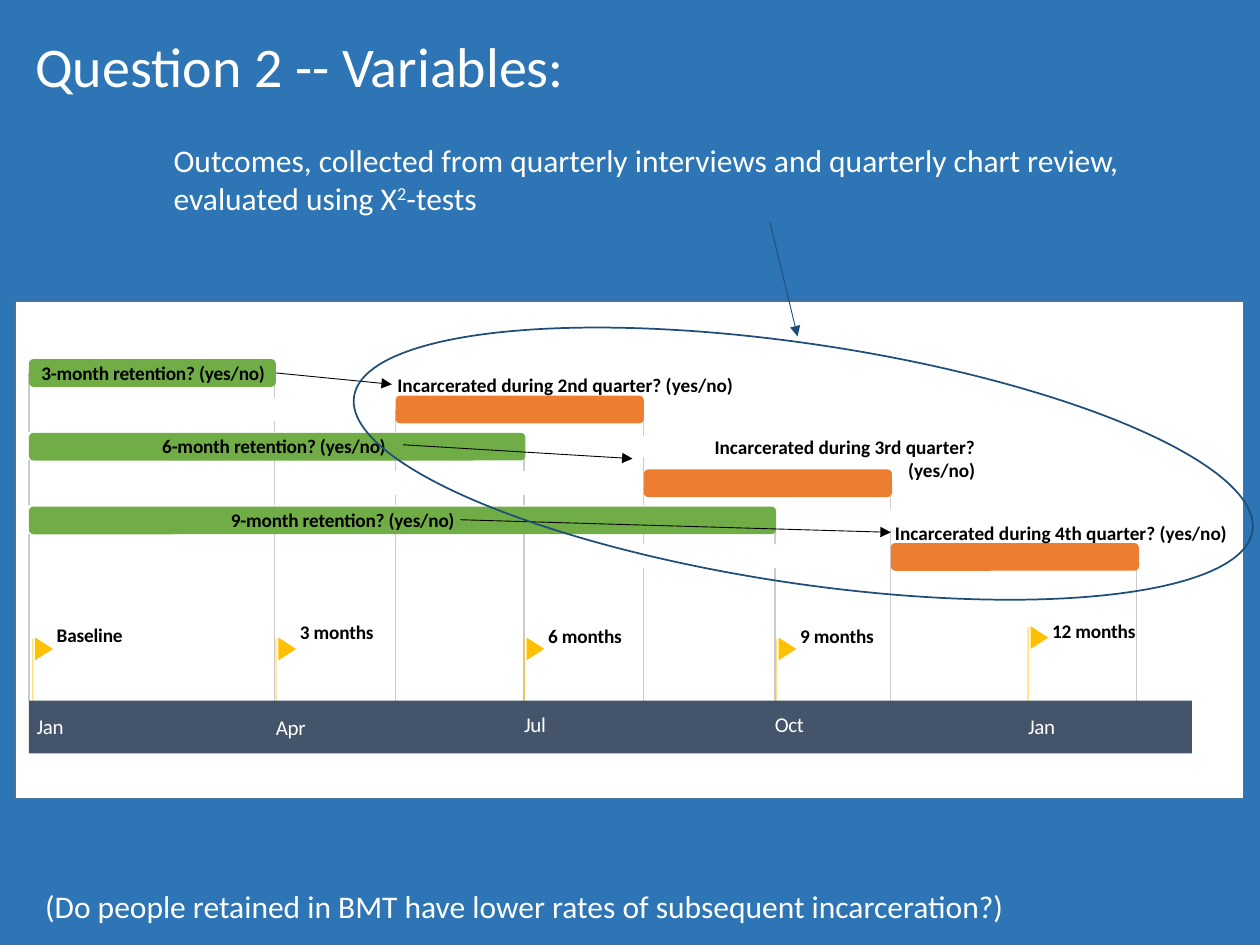
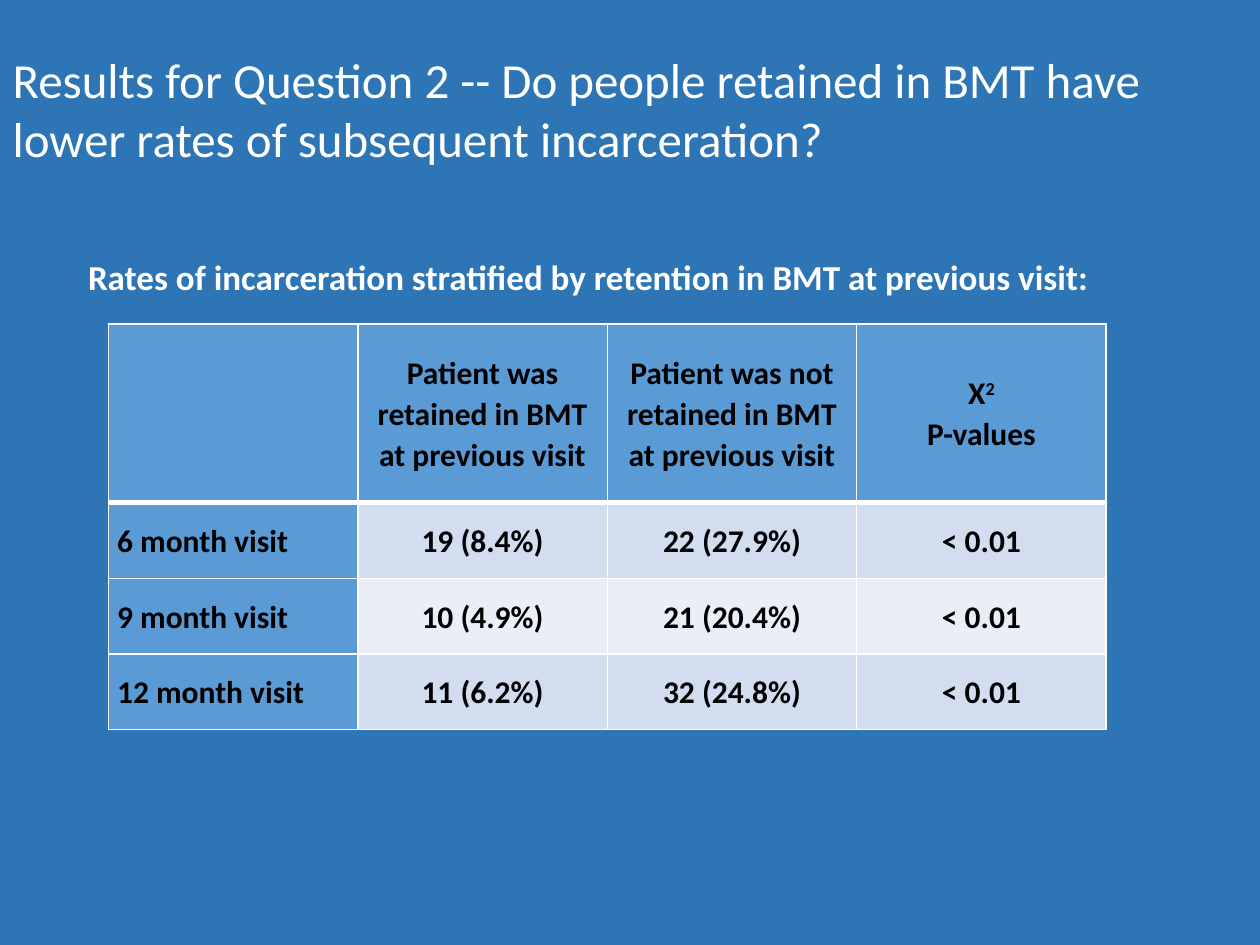
from lxml import etree
from pptx import Presentation
from pptx.dml.color import RGBColor
from pptx.enum.shapes import MSO_CONNECTOR, MSO_SHAPE
from pptx.enum.text import MSO_ANCHOR, MSO_AUTO_SIZE, PP_ALIGN
from pptx.oxml import parse_xml
from pptx.oxml.ns import nsdecls, qn
from pptx.util import Inches, Pt

LEFT, CENTER, RIGHT = PP_ALIGN.LEFT, PP_ALIGN.CENTER, PP_ALIGN.RIGHT
TOP, MIDDLE = MSO_ANCHOR.TOP, MSO_ANCHOR.MIDDLE
STRAIGHT = MSO_CONNECTOR.STRAIGHT
LEFT_SITE, RIGHT_SITE = 1, 3

FONT = "Calibri"
BLUE, NAVY, SLATE = "2E75B6", "1F4E79", "44546A"
WHITE, BLACK, GRAY = "FFFFFF", "000000", "CCCCCC"
GREEN, ORANGE, GOLD = "70AD47", "ED7D31", "FFC000"
HEADER_BLUE, BAND_DARK, BAND_LIGHT = "5B9BD5", "D2DEEF", "EAEFF7"

# Text between carets is superscript.
VARIABLES_TITLE = "Question 2 -- Variables:"
OUTCOMES_NOTE = ("Outcomes, collected from quarterly interviews and quarterly "
                 "chart review, evaluated using Χ^2^-tests")
QUESTION = "(Do people retained in BMT have lower rates of subsequent incarceration?)"

BAND_TOP = 5.56
TIMELINE_LEFT = 0.23
BAR_HEIGHT, LABEL_HEIGHT = 0.22, 0.19
RETENTION_TOP, OUTCOME_TOP, ROW_PITCH = 2.85, 3.14, 0.585

# x: (top, bottom) of each visible piece
GRIDLINES = {
    0.23: [(2.96, 3.43), (3.65, 4.01), (4.24, BAND_TOP)],
    2.18: [(2.96, 3.16), (3.34, 3.43), (3.64, 4.01), (4.24, BAND_TOP)],
    3.14: [(3.25, 3.43), (3.65, 3.74), (3.93, 4.01), (4.22, BAND_TOP)],
    4.16: [(3.54, 3.74), (3.93, 4.01), (4.24, BAND_TOP)],
    5.11: [(3.25, 3.46), (3.63, 4.01), (4.24, 4.32), (4.51, BAND_TOP)],
    6.15: [(4.13, 4.32), (4.51, BAND_TOP)],
    7.07: [(3.83, 4.04), (4.21, BAND_TOP)],
    9.02: [(4.42, BAND_TOP)],
}
# milestone, flag left, flag top, label top, month, month left, month top
MILESTONES = [
    ("Baseline", 0.26, 5.08, 4.94, "Jan", 0.29, 5.66),
    ("3 months", 2.19, 5.08, 4.92, "Apr", 2.19, 5.67),
    ("6 months", 4.16, 5.08, 4.95, "Jul", 4.16, 5.65),
    ("9 months", 6.16, 5.08, 4.95, "Oct", 6.15, 5.65),
    ("12 months", 8.16, 4.99, 4.91, "Jan", 8.16, 5.66),
]
# label, bar width, label left, label width
RETENTIONS = [
    ("3-month retention? (yes/no)", 1.96, 0.29, 1.85),
    ("6-month retention? (yes/no)", 3.94, 1.26, 1.83),
    ("9-month retention? (yes/no)", 5.93, 1.79, 1.86),
]
# label, bar left, label width
OUTCOMES = [
    ("Incarcerated during 2nd quarter? (yes/no)", 3.14, 2.68),
    ("Incarcerated during 3rd quarter? (yes/no)", 5.11, 2.63),
    ("Incarcerated during 4th quarter? (yes/no)", 7.07, 2.67),
]
RETENTION_ARROWS = [(2.19, 2.96, 3.11, 3.05), (3.2, 3.53, 5.02, 3.64),
                    (3.66, 4.12, 7.07, 4.24)]

RESULTS_TITLE = ("Results for Question 2 -- Do people retained in BMT have "
                 "lower rates of subsequent incarceration?")
TABLE_HEADING = ("Rates of incarceration stratified by retention in BMT "
                 "at previous visit:")
RATES = [
    ["", "Patient was retained in BMT at previous visit",
     "Patient was not retained in BMT at previous visit", "Χ^2^\nP-values"],
    ["6 month visit", "19 (8.4%)", "22 (27.9%)", "< 0.01"],
    ["9 month visit", "10 (4.9%)", "21 (20.4%)", "< 0.01"],
    ["12 month visit", "11 (6.2%)", "32 (24.8%)", "< 0.01"],
]
ROW_HEIGHTS = [1.42, 0.6, 0.6, 0.6]
COLUMN_WIDTH = 1.98


def rgb(value):
    return RGBColor.from_string(value)


def write(frame, text, size, color, bold=False, align=LEFT, spacing=0,
          line_spacing=None):
    """Fill a text frame; spacing is between letters, in hundredths of a point."""
    for index, line in enumerate(text.split("\n")):
        paragraph = frame.paragraphs[0] if index == 0 else frame.add_paragraph()
        paragraph.alignment = align
        if line_spacing:
            paragraph.line_spacing = line_spacing
        font = paragraph.font
        font.name, font.size, font.bold = FONT, Pt(size), bold
        font.color.rgb = rgb(color)
        for part, piece in enumerate(line.split("^")):
            if not piece:
                continue
            run = paragraph.add_run()
            run.text = piece
            properties = run._r.get_or_add_rPr()
            if part % 2:
                properties.set("baseline", "30000")
            if spacing:
                properties.set("spc", str(spacing))


def add_text(slide, box, text, size, color=WHITE, **style):
    shape = slide.shapes.add_textbox(*map(Inches, box))
    shape.text_frame.word_wrap = True
    write(shape.text_frame, text, size, color, **style)
    return shape


def add_label(slide, box, text, size=11, color=BLACK, wrap=True, **style):
    """Add a small text box without margins, centred vertically."""
    shape = add_text(slide, box, text, size, color, **style)
    frame = shape.text_frame
    frame.margin_left = frame.margin_right = 0
    frame.margin_top = frame.margin_bottom = 0
    frame.vertical_anchor = MIDDLE
    frame.word_wrap = wrap
    return shape


def add_block(slide, kind, box, fill=None, line=None, rotation=0):
    shape = slide.shapes.add_shape(kind, *map(Inches, box))
    shape.shadow.inherit = False
    shape.rotation = rotation
    if fill:
        shape.fill.solid()
        shape.fill.fore_color.rgb = rgb(fill)
    else:
        shape.fill.background()
    if line:
        shape.line.color.rgb = rgb(line)
        shape.line.width = Pt(1)
    else:
        shape.line.fill.background()
    return shape


def add_line(slide, points, color, width=0.75, arrow=False, opacity=None):
    connector = slide.shapes.add_connector(STRAIGHT, *map(Inches, points))
    connector.line.color.rgb = rgb(color)
    connector.line.width = Pt(width)
    properties = connector._element.spPr
    outline = properties.find(qn("a:ln"))
    if opacity:
        color_element = outline.find(".//" + qn("a:srgbClr"))
        etree.SubElement(color_element, qn("a:alpha")).set("val", str(opacity * 1000))
    if arrow:
        etree.SubElement(outline, qn("a:tailEnd")).set("type", "triangle")
    etree.SubElement(properties, qn("a:effectLst"))
    return connector


def add_titled_slide(presentation, title, box, size):
    slide = presentation.slides.add_slide(presentation.slide_layouts[5])
    shape = slide.shapes.title
    shape.left, shape.top, shape.width, shape.height = map(Inches, box)
    frame = shape.text_frame
    frame.word_wrap = True
    frame.auto_size = MSO_AUTO_SIZE.NONE
    frame.vertical_anchor = TOP
    write(frame, title, size, WHITE)
    return slide


def add_milestones(slide):
    for _, x, flag_top, *_ in MILESTONES:
        add_line(slide, (x, flag_top - 0.01, x, BAND_TOP), GOLD, opacity=50)
    add_block(slide, MSO_SHAPE.RECTANGLE, (TIMELINE_LEFT, BAND_TOP, 9.23, 0.42), SLATE)
    for label, x, flag_top, label_top, month, month_left, month_top in MILESTONES:
        add_label(slide, (month_left, month_top, 0.33, 0.2), month, 12, WHITE,
                  wrap=False, spacing=-20)
        add_label(slide, (x + 0.19, label_top, 0.68, LABEL_HEIGHT), label,
                  bold=True, spacing=-10)
        add_block(slide, MSO_SHAPE.FLOWCHART_MERGE, (x, flag_top, 0.18, 0.14),
                  GOLD, rotation=270)


def add_bars(slide):
    """Draw each retention bar with the outcome bar that follows it."""
    retention_bars, retention_labels, outcome_labels = [], [], []
    for row, (retention, outcome) in enumerate(zip(RETENTIONS, OUTCOMES)):
        text, width, label_left, label_width = retention
        top = RETENTION_TOP + row * ROW_PITCH
        retention_bars.append(add_block(
            slide, MSO_SHAPE.ROUNDED_RECTANGLE,
            (TIMELINE_LEFT, top, width, BAR_HEIGHT), GREEN))
        retention_labels.append(add_label(
            slide, (label_left, top + 0.01, label_width, LABEL_HEIGHT), text,
            bold=True, align=CENTER, spacing=-10))

        text, left, label_width = outcome
        top = OUTCOME_TOP + row * ROW_PITCH
        add_block(slide, MSO_SHAPE.ROUNDED_RECTANGLE,
                  (left, top, 1.97, BAR_HEIGHT), ORANGE)
        outcome_labels.append(add_label(
            slide, (left, top - 0.18, label_width, LABEL_HEIGHT), text,
            bold=True, align=RIGHT))

    arrows = [add_line(slide, points, BLACK, 0.5, arrow=True)
              for points in RETENTION_ARROWS]
    arrows[0].begin_connect(retention_bars[0], RIGHT_SITE)
    arrows[2].begin_connect(retention_labels[2], RIGHT_SITE)
    arrows[2].end_connect(outcome_labels[2], LEFT_SITE)


def add_variables_slide(presentation):
    slide = add_titled_slide(presentation, VARIABLES_TITLE, (0.18, 0.2, 9.62, 0.64), 32)
    add_text(slide, (1.28, 1.07, 8.18, 1.01), OUTCOMES_NOTE, 18)
    add_block(slide, MSO_SHAPE.RECTANGLE, (0.12, 2.39, 9.75, 3.95), WHITE, "43739E")
    for x, pieces in GRIDLINES.items():
        for top, bottom in pieces:
            add_line(slide, (x, top, x, bottom), GRAY)
    add_milestones(slide)
    add_bars(slide)
    add_block(slide, MSO_SHAPE.OVAL, (2.77, 2.73, 7.21, 1.9), line=NAVY, rotation=8.5)
    add_line(slide, (6.11, 1.76, 6.33, 2.67), NAVY, 0.5, arrow=True)
    add_text(slide, (0.26, 6.99, 9.48, 0.4), QUESTION, 18)


def set_borders(cell, bottom, top):
    """Draw white cell borders; the widths of bottom and top are in points."""
    widths = {"lnL": 1, "lnR": 1, "lnT": top, "lnB": bottom}
    for side, width in widths.items():
        cell._tc.get_or_add_tcPr().append(parse_xml(
            f'<a:{side} {nsdecls("a")} w="{Pt(width)}"><a:solidFill>'
            f'<a:srgbClr val="{WHITE}"/></a:solidFill></a:{side}>'))


def add_results_slide(presentation):
    slide = add_titled_slide(presentation, RESULTS_TITLE, (0, 0.34, 10, 1.04), 28)
    column_count = len(RATES[0])
    box = (0.86, 2.57, COLUMN_WIDTH * column_count, sum(ROW_HEIGHTS))
    table = slide.shapes.add_table(len(RATES), column_count, *map(Inches, box)).table
    for row, values in enumerate(RATES):
        table.rows[row].height = Inches(ROW_HEIGHTS[row])
        for column, text in enumerate(values):
            cell = table.cell(row, column)
            set_borders(cell, bottom=3 if row == 0 else 1, top=3 if row == 1 else 1)
            band = BAND_DARK if row % 2 else BAND_LIGHT
            cell.fill.solid()
            cell.fill.fore_color.rgb = rgb(band if row and column else HEADER_BLUE)
            cell.vertical_anchor = MIDDLE
            cell.margin_left = cell.margin_right = Inches(0.07)
            cell.margin_top = cell.margin_bottom = 0
            write(cell.text_frame, text, 18, BLACK, bold=True, line_spacing=1.07,
                  align=CENTER if row == 0 or column else LEFT)
    add_text(slide, (0.6, 1.98, 8.19, 0.44), TABLE_HEADING, 20, bold=True)


def main():
    presentation = Presentation()
    presentation.slide_width, presentation.slide_height = Inches(10), Inches(7.5)
    background = presentation.slide_master.background.fill
    background.solid()
    background.fore_color.rgb = rgb(BLUE)
    add_variables_slide(presentation)
    add_results_slide(presentation)
    presentation.save("out.pptx")


if __name__ == "__main__":
    main()
